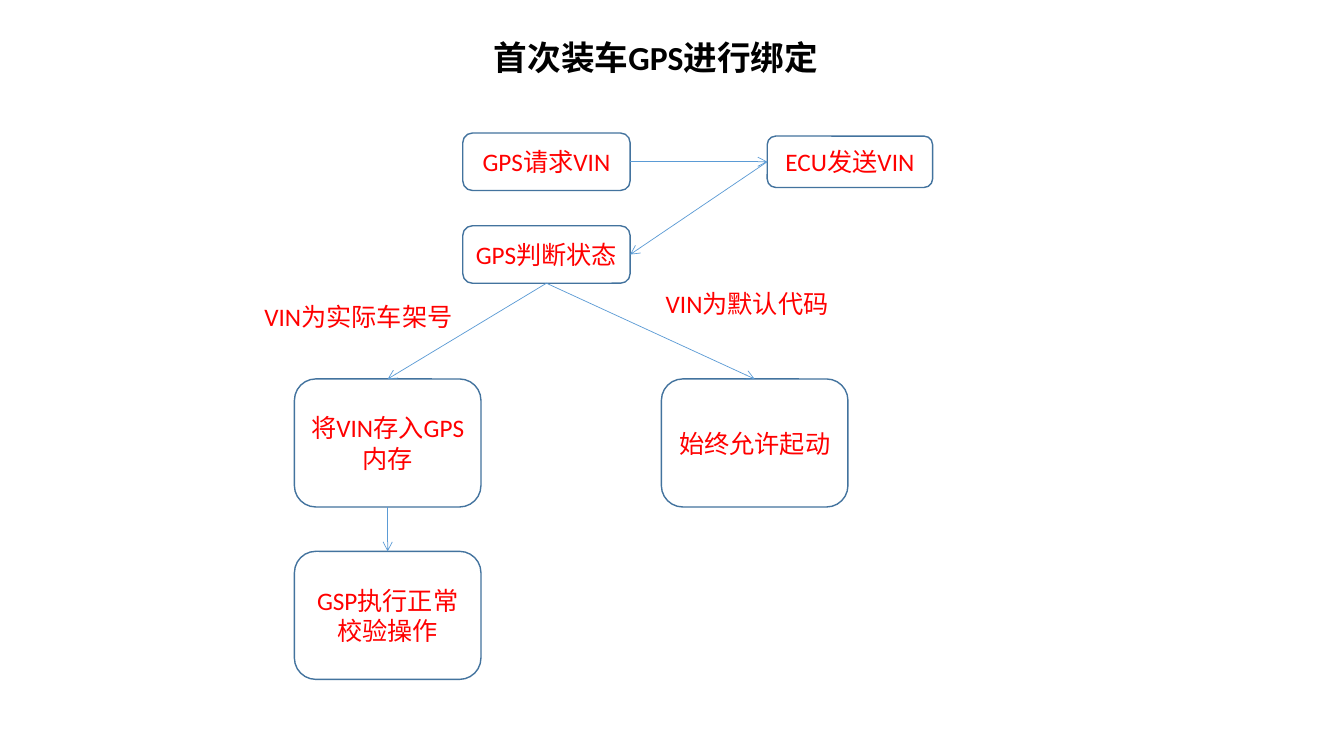
from typing import NamedTuple

from lxml.etree import SubElement
from pptx import Presentation
from pptx.dml.color import RGBColor
from pptx.enum.shapes import MSO_CONNECTOR as Connector, MSO_SHAPE as Preset
from pptx.enum.text import MSO_ANCHOR as Anchor, PP_ALIGN as Align
from pptx.oxml.ns import qn
from pptx.shapes.autoshape import Shape
from pptx.slide import Slide
from pptx.util import Inches, Pt

RED = RGBColor(0xFF, 0x00, 0x00)
BLACK = RGBColor(0x00, 0x00, 0x00)
OUTLINE = RGBColor(0x43, 0x73, 0x9E)
ARROW = RGBColor(0x5B, 0x9B, 0xD5)

# Connection sites of a rounded rectangle
TOP, LEFT, BOTTOM, RIGHT = range(4)


class Box(NamedTuple):
    left: float
    top: float
    width: float
    height: float


class Step(NamedTuple):
    name: str
    text: str
    box: Box


class Link(NamedTuple):
    source: str
    source_site: int
    target: str
    target_site: int


class Label(NamedTuple):
    text: str
    box: Box


# Columns, rows and sizes of the flow
GPS_LEFT, GPS_WIDTH, GPS_HEIGHT = 4.59, 1.66, 0.57
BRANCH_LEFT, BRANCH_TOP = 2.92, 3.76
ACTION_WIDTH, ACTION_HEIGHT = 1.85, 1.27

STEPS = [
    Step("request", "GPS请求VIN", Box(GPS_LEFT, 1.32, GPS_WIDTH, GPS_HEIGHT)),
    Step("send", "ECU发送VIN", Box(7.61, 1.35, 1.64, 0.51)),
    Step("judge", "GPS判断状态", Box(GPS_LEFT, 2.24, GPS_WIDTH, GPS_HEIGHT)),
    Step("allow", "始终允许起动", Box(6.56, BRANCH_TOP, ACTION_WIDTH, ACTION_HEIGHT)),
    Step("store", "将VIN存入GPS内存",
         Box(BRANCH_LEFT, BRANCH_TOP, ACTION_WIDTH, ACTION_HEIGHT)),
    Step("verify", "GSP执行正常校验操作",
         Box(BRANCH_LEFT, 5.47, ACTION_WIDTH, ACTION_HEIGHT)),
]
LINKS = [
    Link("request", RIGHT, "send", LEFT),
    Link("send", LEFT, "judge", RIGHT),
    Link("judge", BOTTOM, "allow", TOP),
    Link("judge", BOTTOM, "store", TOP),
    Link("store", BOTTOM, "verify", TOP),
]
CONDITIONS = [
    Label("VIN为默认代码", Box(6.5, 2.81, 1.82, 0.4)),
    Label("VIN为实际车架号", Box(2.52, 2.94, 2.07, 0.4)),
]
TITLE = Label("首次装车GPS进行绑定", Box(4.8, 0.32, 3.42, 0.5))


def write(shape: Shape, text: str, *, size: int = 18, color: RGBColor = RED,
          bold: bool = False, align: Align = Align.CENTER,
          anchor: Anchor = Anchor.TOP) -> None:
    frame = shape.text_frame
    frame.word_wrap = True
    frame.vertical_anchor = anchor
    paragraph = frame.paragraphs[0]
    paragraph.alignment = align
    run = paragraph.add_run()
    run.text = text
    run.font.name = "Calibri"
    run.font.size = Pt(size)
    run.font.bold = bold
    run.font.color.rgb = color


def draw_step(slide: Slide, step: Step) -> Shape:
    shape = slide.shapes.add_shape(Preset.ROUNDED_RECTANGLE, *map(Inches, step.box))
    shape.shadow.inherit = False
    shape.fill.background()
    shape.line.color.rgb = OUTLINE
    shape.line.width = Pt(1)
    write(shape, step.text, anchor=Anchor.MIDDLE)
    return shape


def draw_link(slide: Slide, link: Link, steps: dict[str, Shape]) -> None:
    arrow = slide.shapes.add_connector(Connector.STRAIGHT, 0, 0, 0, 0)
    arrow.begin_connect(steps[link.source], link.source_site)
    arrow.end_connect(steps[link.target], link.target_site)
    arrow.line.color.rgb = ARROW
    arrow.line.width = Pt(0.5)
    properties = arrow.element.spPr
    SubElement(properties.find(qn("a:ln")), qn("a:tailEnd"), type="arrow")
    SubElement(properties, qn("a:effectLst"))


def draw_label(slide: Slide, label: Label, **text_format) -> None:
    write(slide.shapes.add_textbox(*map(Inches, label.box)), label.text, **text_format)


def main() -> None:
    deck = Presentation()
    deck.slide_width, deck.slide_height = Inches(13.33), Inches(7.5)
    slide = deck.slides.add_slide(deck.slide_layouts[6])

    # Flow chart
    steps = {step.name: draw_step(slide, step) for step in STEPS}
    for link in LINKS:
        draw_link(slide, link, steps)
    for condition in CONDITIONS:
        draw_label(slide, condition)

    # Title
    draw_label(slide, TITLE, size=24, color=BLACK, bold=True, align=Align.LEFT)

    deck.save("out.pptx")


main()
